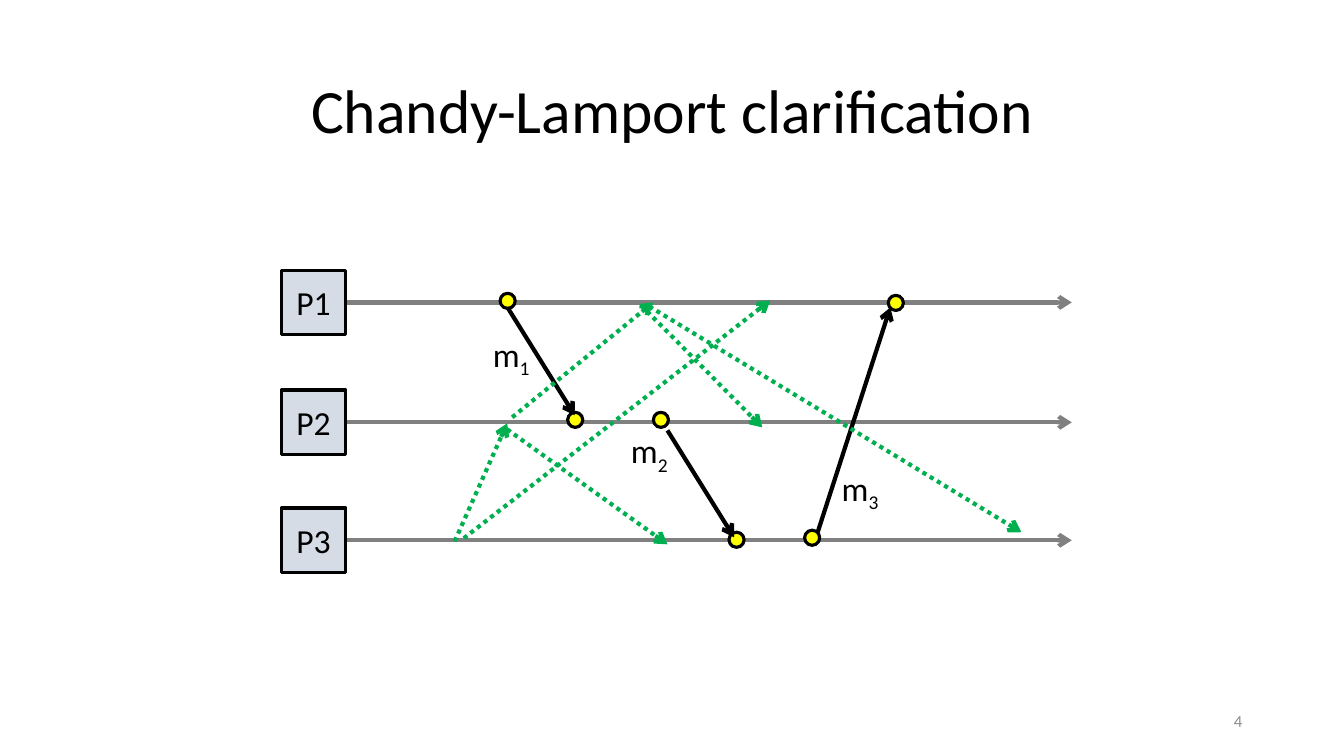
from lxml import etree
from pptx import Presentation
from pptx import util as u
from pptx.dml.color import RGBColor
from pptx.enum import dml, shapes, text
from pptx.oxml import ns

PX = 9144
BLACK, GREY, GREEN, YELLOW, PALE = "000000", "808080", "00B050", "FFFF00", "D6DCE5"
rgb = RGBColor.from_string

prs = Presentation()
prs.slide_width, prs.slide_height = 1333 * PX, 750 * PX
s = prs.slides.add_slide(prs.slide_layouts[6])


def add_arrow(x1, y1, x2, y2, color, dash=None):
    c = s.shapes.add_connector(
        shapes.MSO_CONNECTOR.STRAIGHT, x1 * PX, y1 * PX, x2 * PX, y2 * PX)
    c.line.color.rgb = rgb(color)
    c.line.width = u.Pt(3)
    if dash:
        c.line.dash_style = dash
    sp_pr = c.element.spPr
    etree.SubElement(sp_pr.get_or_add_ln(), ns.qn("a:tailEnd"), type="arrow")
    etree.SubElement(sp_pr, ns.qn("a:effectLst"))


def add_text(sp, words, size, align, color=BLACK, anchor=text.MSO_ANCHOR.MIDDLE):
    tf = sp.text_frame
    tf.word_wrap = True
    tf.vertical_anchor = anchor
    p = tf.paragraphs[0]
    p.alignment = align
    p.font.name, p.font.size = "Calibri", u.Pt(size)
    p.font.color.rgb = rgb(color)
    p.add_run().text = words
    return tf


title = s.shapes.add_textbox(92 * PX, 40 * PX, 1150 * PX, 145 * PX)
tf = add_text(title, "Chandy-Lamport clarification", 44, text.PP_ALIGN.CENTER)
tf.paragraphs[0].line_spacing = 0.9

for name, y in [("P1", 300), ("P2", 419), ("P3", 536)]:
    add_arrow(343, y, 1063, y, GREY)
    box = s.shapes.add_shape(
        shapes.MSO_SHAPE.FLOWCHART_PROCESS, 279 * PX, (y - 32) * PX, 64 * PX, 64 * PX)
    box.shadow.inherit = False
    box.fill.solid()
    box.fill.fore_color.rgb = rgb(PALE)
    box.line.color.rgb = rgb(BLACK)
    box.line.width = u.Pt(2.25)
    tf = add_text(box, name, 24, text.PP_ALIGN.CENTER)
    tf.margin_left = tf.margin_right = 0

for x, y in [(496, 291), (563, 409), (648, 409), (723, 528), (798, 526), (881, 293)]:
    event = s.shapes.add_shape(shapes.MSO_SHAPE.OVAL, x * PX, y * PX, 15 * PX, 15 * PX)
    event.shadow.inherit = False
    event.fill.solid()
    event.fill.fore_color.rgb = rgb(YELLOW)
    event.line.color.rgb = rgb(BLACK)
    event.line.width = u.Pt(2.25)

for ends in [(504, 306, 570, 412), (662, 427, 728, 533), (811, 528, 883, 305)]:
    add_arrow(*ends, BLACK)

for ends in [(636, 303, 756, 424), (644, 304, 1013, 528), (508, 414, 648, 300),
             (503, 426, 662, 540), (451, 537, 503, 420), (460, 534, 764, 298)]:
    add_arrow(*ends, GREEN, dml.MSO_LINE.ROUND_DOT)

for number, x, y in [("1", 479, 326), ("2", 616, 422), ("3", 825, 459)]:
    label = s.shapes.add_textbox(x * PX, y * PX, 63 * PX, 50 * PX)
    tf = add_text(label, "m", 24, text.PP_ALIGN.LEFT, anchor=text.MSO_ANCHOR.TOP)
    tf.word_wrap = False
    tf.auto_size = text.MSO_AUTO_SIZE.SHAPE_TO_FIT_TEXT
    r = tf.paragraphs[0].add_run()
    r.text = number
    r.font._element.set("baseline", "-25000")

page = s.shapes.add_textbox(942 * PX, 695 * PX, 300 * PX, 40 * PX)
add_text(page, "4", 12, text.PP_ALIGN.RIGHT, "8C8C8C")

prs.save("out.pptx")
